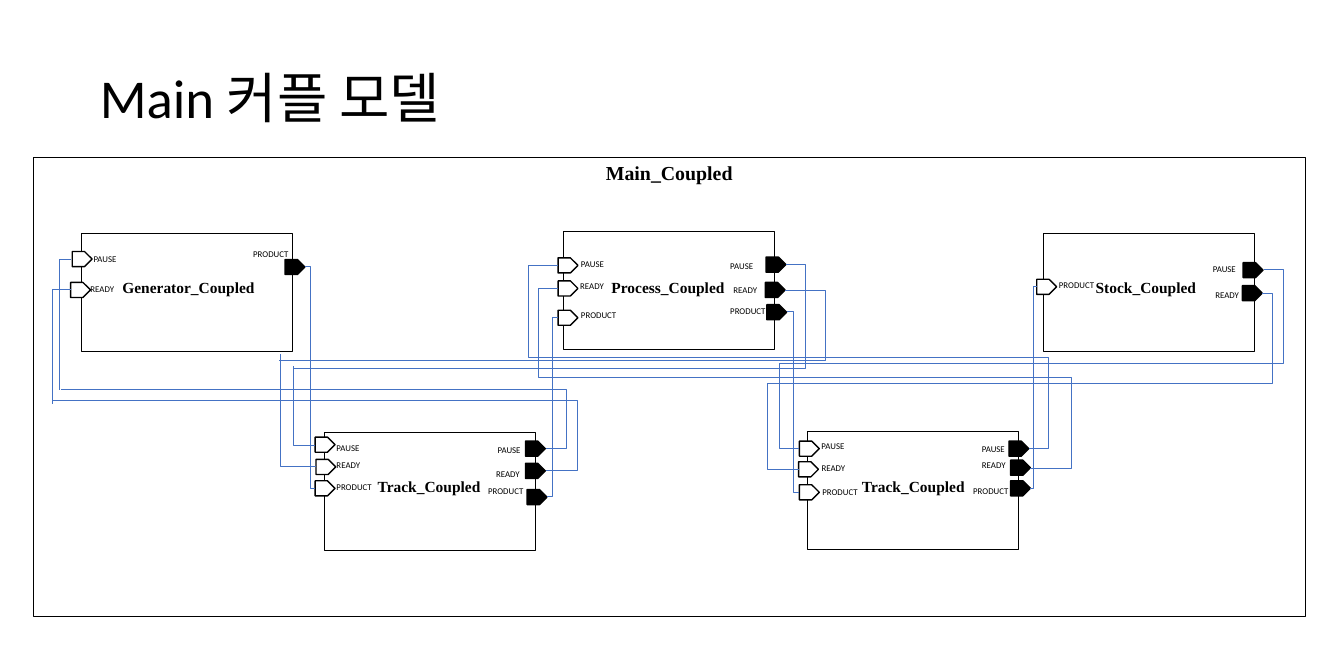
from lxml import etree
from pptx import Presentation
from pptx import util as u
from pptx.dml import color
from pptx.enum import shapes, text
from pptx.oxml import ns

COLORS = {"ink": "000000", "paper": "FFFFFF", "wire": "4472C4"}
CELL = 0.1
BLOCK_SIZE = (26.6, 14.9)
PORT_SIZE = (2.5, 1.9)
LABEL_WIDTHS = {"PAUSE": 5.4, "READY": 5.1, "PRODUCT": 7.1}

# name, block left and top, caption left and top, inputs, outputs
# each port: label, port left and top, label left and top
BLOCKS = [
    ("Generator_Coupled", (10.3, 29.4), (10.5, 34.5),
     [("PAUSE", 9.1, 31.7, 10.8, 31.5), ("READY", 8.9, 35.6, 10.4, 35.3)],
     [("PRODUCT", 35.9, 32.7, 30.9, 30.8)]),
    ("Track_Coupled", (40.9, 54.5), (40.8, 59.7),
     [("PAUSE", 39.7, 55.1, 41.4, 55.3), ("READY", 39.8, 57.9, 41.4, 57.4),
      ("PRODUCT", 39.7, 60.6, 41.4, 60.2)],
     [("PAUSE", 66.2, 55.6, 61.7, 55.6), ("READY", 66.2, 58.4, 61.5, 58.6),
      ("PRODUCT", 66.4, 61.7, 60.5, 60.7)]),
    ("Process_Coupled", (71, 29.2), (70.9, 34.5),
     [("PAUSE", 70.3, 32.5, 72.2, 32.1), ("READY", 70.3, 35.4, 72.1, 34.9),
      ("PRODUCT", 70.3, 39.1, 72.2, 38.6)],
     [("PAUSE", 96.5, 32.4, 91, 32.4), ("READY", 96.4, 35.6, 91.4, 35.4),
      ("PRODUCT", 96.6, 38.4, 91, 38)]),
    ("Track_Coupled", (101.7, 54.4), (101.8, 59.7),
     [("PAUSE", 100.7, 55.6, 102.5, 55.1), ("READY", 100.6, 58.2, 102.5, 57.8),
      ("PRODUCT", 100.7, 61.1, 102.6, 60.9)],
     [("PAUSE", 127.1, 55.6, 122.7, 55.4), ("READY", 127.3, 58, 122.7, 57.5),
      ("PRODUCT", 127.3, 60.6, 121.6, 60.7)]),
    ("Stock_Coupled", (131.4, 29.4), (131.1, 34.5),
     [("PRODUCT", 130.6, 35.2, 132.4, 34.8)],
     [("PAUSE", 156.6, 33.1, 151.8, 32.7), ("READY", 156.5, 36, 152.1, 36)]),
]

# start, bends (column, row, column ...), end
WIRES = [
    ((38.4, 33.6), [39.1], (39.7, 61.5)),
    ((68.8, 56.5), [71.3], (7.7, 49.1)),
    ((8.9, 32.7), [7.5], (7.5, 49.1)),
    ((8.9, 36.5), [6.6], (6.6, 50.9)),
    ((6.6, 50.5), [72.7], (68.8, 59.3)),
    ((99, 33.3), [101.5], (37, 46.4)),
    ((39.7, 56.1), [36.9], (36.9, 46.1)),
    ((98.9, 36.6), [104], (35.1, 45.4)),
    ((39.8, 58.8), [35.3], (35.3, 44.6)),
    ((99.1, 39.3), [99.9], (100.7, 62)),
    ((68.9, 62.6), [69.6], (70.3, 40)),
    ((159.2, 34), [161.7, 45.8, 98.2], (100.7, 56.5)),
    ((159, 37), [160.3, 48.3, 96.7], (100.6, 59.1)),
    ((129.8, 61.5), [130.2], (130.6, 36.1)),
    ((70.3, 33.4), [66.5, 45, 132.1], (129.6, 56.5)),
    ((70.3, 36.3), [67.8, 47.6, 135], (129.8, 59)),
]


def grid(*cells):
    return [u.Inches(cell * CELL) for cell in cells]


def rgb(name):
    return color.RGBColor.from_string(COLORS[name])


def add_outline(page, kind, place, fill, weight):
    shape = page.shapes.add_shape(kind, *grid(*place))
    shape.shadow.inherit = False
    shape.fill.solid()
    shape.fill.fore_color.rgb = rgb(fill)
    shape.line.color.rgb = rgb("ink")
    shape.line.width = u.Pt(weight)


def add_words(page, words, place, size, font, bold=False, wrap=True,
              align=text.PP_ALIGN.LEFT):
    box = page.shapes.add_textbox(*grid(*place))
    frame = box.text_frame
    frame.word_wrap = wrap
    frame.auto_size = text.MSO_AUTO_SIZE.SHAPE_TO_FIT_TEXT
    para = frame.paragraphs[0]
    para.alignment = align
    span = para.add_run()
    span.text = words
    span.font.size = u.Pt(size)
    span.font.name = font
    span.font.bold = bold
    span.font.color.rgb = rgb("ink")
    return frame


def add_title(page):
    frame = add_words(page, "Main 커플 모델", (11.6, 4.5, 146, 16.4), 49.7, "Calibri")
    frame.auto_size = text.MSO_AUTO_SIZE.NONE
    frame.vertical_anchor = text.MSO_ANCHOR.MIDDLE
    frame.paragraphs[0].line_spacing = 0.9


def add_caption(page, words, place, size):
    add_words(page, words, place, size, "Times New Roman", bold=True,
              align=text.PP_ALIGN.CENTER)


def add_port(page, port, fill):
    label, left, top, label_left, label_top = port
    add_outline(page, shapes.MSO_SHAPE.PENTAGON, (left, top, *PORT_SIZE), fill, 1.25)
    add_words(page, label, (label_left, label_top, LABEL_WIDTHS[label], 2.4),
              8, "Calibri", wrap=False)


def add_block(page, name, corner, caption, inputs, outputs):
    add_outline(page, shapes.MSO_SHAPE.RECTANGLE, (*corner, *BLOCK_SIZE), "paper", 1)
    add_caption(page, name, (*caption, 26.5, 3.4), 14)
    for port in inputs:
        add_port(page, port, "paper")
    for port in outputs:
        add_port(page, port, "ink")


def add_wire(page, start, bends, end):
    wire = page.shapes.add_connector(shapes.MSO_CONNECTOR.ELBOW, *grid(*start, *end))
    wire.line.color.rgb = rgb("wire")
    wire.line.width = u.Pt(0.5)
    properties = wire._element.spPr
    etree.SubElement(properties, ns.qn("a:effectLst"))
    geometry = properties.find(ns.qn("a:prstGeom"))
    geometry.set("prst", f"bentConnector{len(bends) + 2}")
    guides = geometry.find(ns.qn("a:avLst"))
    for index, bend in enumerate(bends):
        axis = index % 2
        share = (bend - start[axis]) / (end[axis] - start[axis])
        etree.SubElement(guides, ns.qn("a:gd"), name=f"adj{index + 1}",
                         fmla=f"val {round(share * 100000)}")


def main():
    deck = Presentation()
    deck.slide_width, deck.slide_height = u.Inches(16.93), u.Inches(8.47)
    page = deck.slides.add_slide(deck.slide_layouts[6])
    add_title(page)
    add_outline(page, shapes.MSO_SHAPE.RECTANGLE, (4.2, 19.8, 160.2, 57.9), "paper", 1)
    add_caption(page, "Main_Coupled", (4.2, 19.8, 160.2, 4), 18)
    for block in BLOCKS:
        add_block(page, *block)
    for wire in WIRES:
        add_wire(page, *wire)
    deck.save("out.pptx")


if __name__ == "__main__":
    main()
